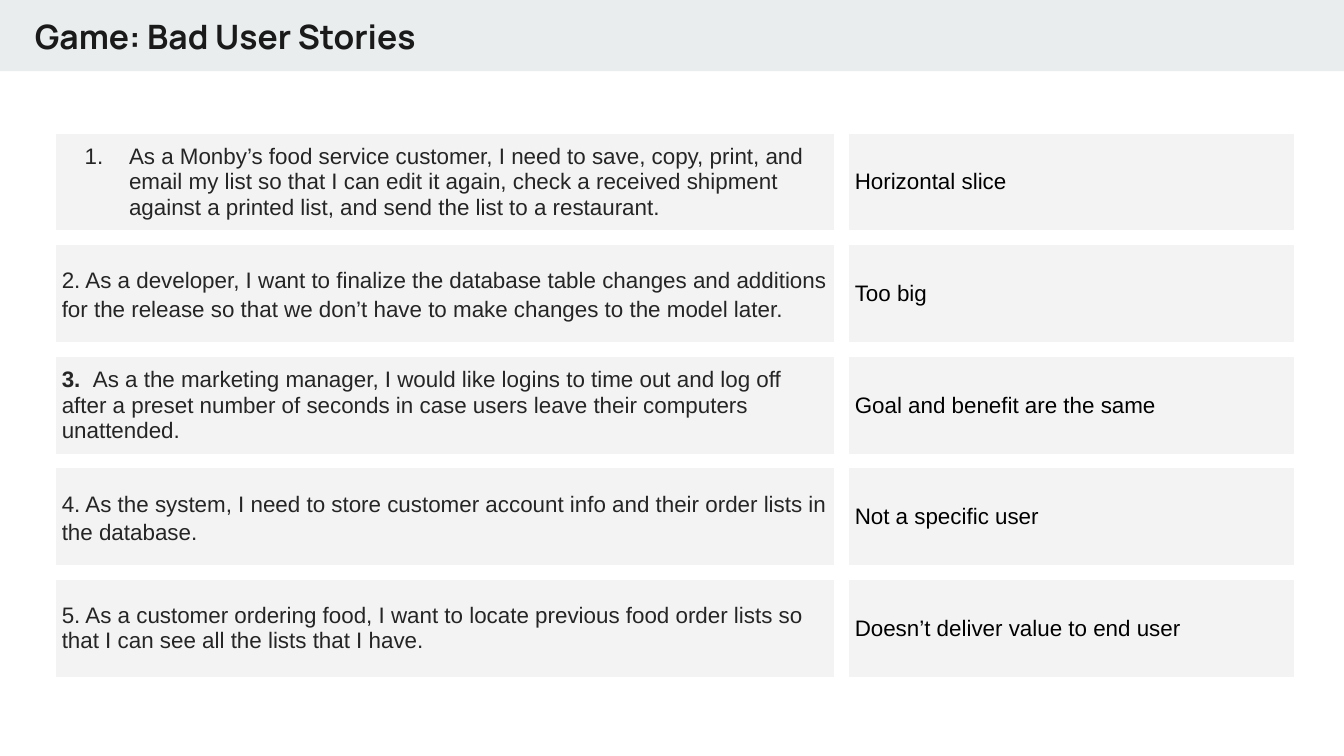
from lxml.etree import SubElement
from pptx import Presentation
from pptx.dml.color import RGBColor
from pptx.enum.shapes import MSO_SHAPE as Shape
from pptx.enum.text import MSO_ANCHOR as Anchor, PP_ALIGN as Align
from pptx.oxml import parse_xml
from pptx.oxml.ns import nsdecls, qn
from pptx.util import Inches, Pt

BAND = RGBColor(0xE9, 0xED, 0xEE)
CELL = RGBColor(0xF3, 0xF3, 0xF3)
WHITE = RGBColor(0xFF, 0xFF, 0xFF)
BLACK = RGBColor(0x00, 0x00, 0x00)
TITLE = RGBColor(0x1A, 0x1A, 0x1A)
STORY = RGBColor(0x25, 0x25, 0x25)

# Each row: bold lead, story, formatting of the story, what is wrong with it
ROWS = [
    ("", "As a Monby’s food service customer, I need to save, copy, print, and "
     "email my list so that I can edit it again, check a received shipment "
     "against a printed list, and send the list to a restaurant.",
     {"numbered": True}, "Horizontal slice"),
    ("", "2. As a developer, I want to finalize the database table changes and "
     "additions for the release so that we don’t have to make changes to the "
     "model later.", {"spacing": 1.15}, "Too big"),
    ("3.  ", "As a the marketing manager, I would like logins to time out and log "
     "off after a preset number of seconds in case users leave their computers "
     "unattended.", {}, "Goal and benefit are the same"),
    ("", "4. As the system, I need to store customer account info and their order "
     "lists in the database.", {"spacing": 1.15}, "Not a specific user"),
    ("", "5. As a customer ordering food, I want to locate previous food order "
     "lists so that I can see all the lists that I have.", {},
     "Doesn’t deliver value to end user"),
]


def write(frame, text, *, lead="", font="Arial", size=12, color=BLACK,
          bold=False, spacing=1.0, numbered=False):
    """Fill a text frame with one paragraph, with an optional bold lead."""
    para = frame.paragraphs[0]
    para.alignment = Align.LEFT
    para.line_spacing = spacing
    if numbered:
        props = para._p.get_or_add_pPr()
        props.set("marL", str(Inches(0.5)))
        props.set("indent", str(Inches(-0.33)))
        bullet_color = SubElement(props, qn("a:buClr"))
        SubElement(bullet_color, qn("a:srgbClr"), val=str(color))
        SubElement(props, qn("a:buFont"), typeface=font)
        SubElement(props, qn("a:buAutoNum"), type="arabicPeriod")
    for words, heavy in ((lead, True), (text, bold)):
        if words:
            span = para.add_run()
            span.text = words
            span.font.name = font
            span.font.size = Pt(size)
            span.font.bold = heavy
            span.font.color.rgb = color


class Page:
    margin = Inches(0.1)
    border = Pt(9)

    def __init__(self, deck):
        self.slide = deck.slides.add_slide(deck.slide_layouts[5])
        self.slide.background.fill.solid()
        self.slide.background.fill.fore_color.rgb = WHITE

    def pad(self, box):
        box.margin_left = box.margin_right = self.margin
        box.margin_top = box.margin_bottom = self.margin
        box.vertical_anchor = Anchor.MIDDLE

    def band(self, left, top, width, height):
        band = self.slide.shapes.add_shape(
            Shape.RECTANGLE, Inches(left), Inches(top), Inches(width), Inches(height))
        band.shadow.inherit = False
        band.fill.solid()
        band.fill.fore_color.rgb = BAND
        band.line.fill.background()
        # Send behind the title
        self.slide.shapes._spTree.insert(2, band._element)

    def title(self, text, left, top, width, height):
        title = self.slide.shapes.title
        title.left, title.top = Inches(left), Inches(top)
        title.width, title.height = Inches(width), Inches(height)
        title.text_frame.word_wrap = True
        self.pad(title.text_frame)
        write(title.text_frame, text, font="Manrope", size=18, color=TITLE, bold=True)

    def cell(self, cell, text, **style):
        self.pad(cell)
        cell.fill.solid()
        cell.fill.fore_color.rgb = CELL
        props = cell._tc.get_or_add_tcPr()
        for place, side in enumerate("LRTB"):
            props.insert(place, parse_xml(
                f'<a:ln{side} {nsdecls("a")} w="{self.border}"><a:solidFill>'
                f'<a:srgbClr val="{WHITE}"/></a:solidFill></a:ln{side}>'))
        write(cell.text_frame, text, **style)

    def table(self, rows, left, top, widths, row_height):
        table = self.slide.shapes.add_table(
            len(rows), len(widths), Inches(left), Inches(top),
            Inches(sum(widths)), Inches(row_height * len(rows))).table
        table.first_row = table.horz_banding = False
        for column, width in zip(table.columns, widths):
            column.width = Inches(width)
        for index, (lead, story, style, flaw) in enumerate(rows):
            table.rows[index].height = Inches(row_height)
            self.cell(table.cell(index, 0), story, lead=lead, color=STORY, **style)
            self.cell(table.cell(index, 1), flaw)


def main():
    deck = Presentation()
    # Widescreen, 16 to 9
    deck.slide_width = Inches(10)
    deck.slide_height = deck.slide_width * 9 // 16
    page = Page(deck)
    # Header
    page.band(0, 0, 10, 0.53)
    page.title("Game: Bad User Stories", 0.16, -0.03, 8.41, 0.59)
    # Stories and their flaws
    page.table(ROWS, 0.36, 0.94, (5.9, 3.42), 0.83)
    deck.save("out.pptx")


if __name__ == "__main__":
    main()
